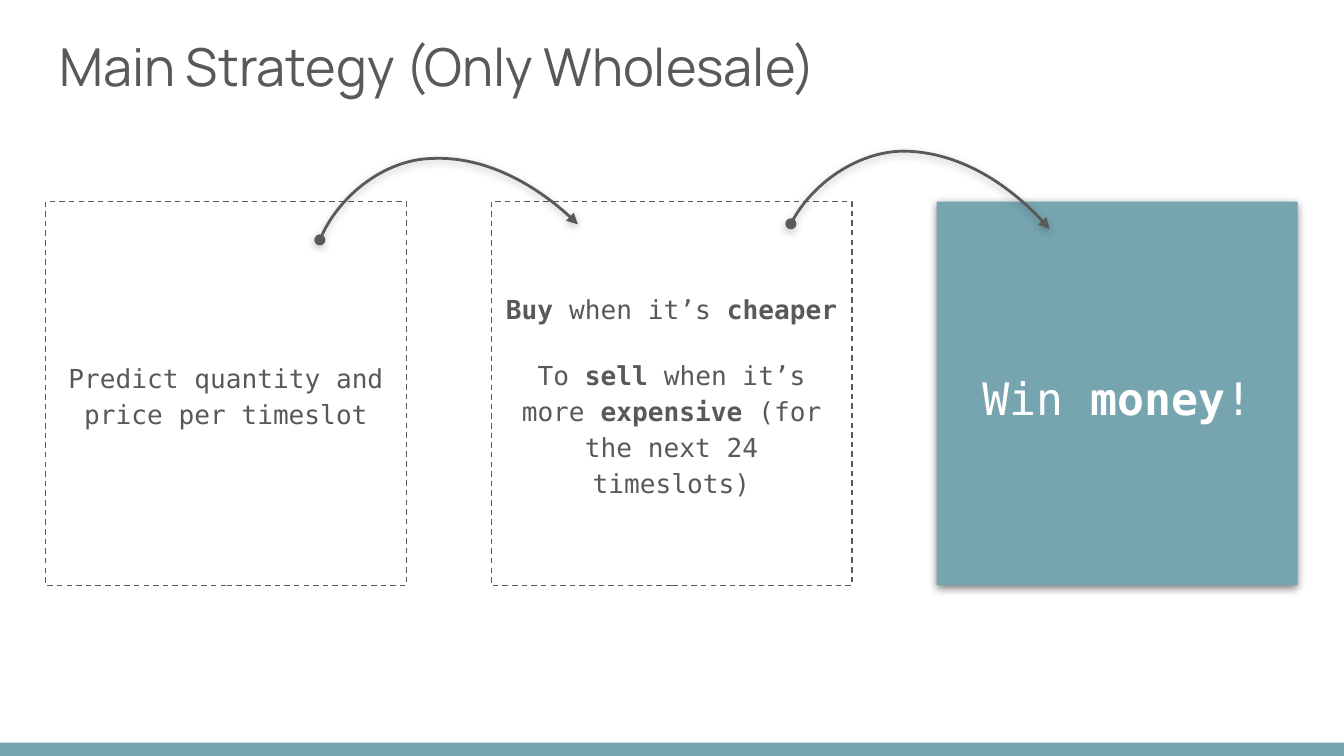
from dataclasses import dataclass

from lxml.etree import SubElement
from pptx import Presentation
from pptx.dml.color import RGBColor as Rgb
from pptx.enum.dml import MSO_LINE as Dash
from pptx.enum.shapes import MSO_SHAPE as Preset
from pptx.enum.text import MSO_ANCHOR as Anchor, PP_ALIGN as Align
from pptx.oxml.ns import qn
from pptx.util import Pt

PX = 4572  # EMU per px, 200 px to the inch


@dataclass(frozen=True)
class Theme:
    ink: str = "595959"
    accent: str = "76A5AF"
    paper: str = "FFFFFF"
    shade: str = "000000"
    title_font: str = "Manrope"
    body_font: str = "DejaVu Sans Mono"
    title_size: int = 28
    body_size: int = 14
    punch_size: int = 24


def write(frame, text, *, font, size, color, align=Align.LEFT, anchor=Anchor.TOP,
          leading=None, gap=0, end_gap=0):
    """One paragraph per line of text; words between asterisks are bold."""
    frame.word_wrap = True
    frame.vertical_anchor = anchor
    frame.margin_left = frame.margin_right = 20 * PX
    frame.margin_top = frame.margin_bottom = 20 * PX
    lines = text.split("\n")
    for i, line in enumerate(lines):
        paragraph = frame.add_paragraph() if i else frame.paragraphs[0]
        paragraph.alignment = align
        paragraph.line_spacing = leading
        paragraph.space_before = Pt(gap if i else 0)
        paragraph.space_after = Pt(end_gap if i == len(lines) - 1 else 0)
        for j, part in enumerate(line.split("*")):
            if part:
                run = paragraph.add_run()
                run.text = part
                run.font.name, run.font.size = font, Pt(size)
                run.font.color.rgb = Rgb.from_string(color)
                run.font.bold = j % 2 == 1


class Board:
    def __init__(self, slide, theme):
        self.slide, self.theme = slide, theme

    def title(self, text, *box):
        heading = self.slide.shapes.add_textbox(*(v * PX for v in box))
        write(heading.text_frame, text, font=self.theme.title_font,
              size=self.theme.title_size, color=self.theme.ink)

    def block(self, *box, fill, dashed=False):
        block = self.slide.shapes.add_shape(Preset.RECTANGLE, *(v * PX for v in box))
        block.shadow.inherit = False
        block.fill.solid()
        block.fill.fore_color.rgb = Rgb.from_string(fill)
        if dashed:
            self.outline(block, 0.75)
            block.line.dash_style = Dash.DASH
        else:
            block.line.fill.background()
        return block

    def card(self, text, *box, size, color, fill, raised=False):
        card = self.block(*box, fill=fill, dashed=not raised)
        if raised:
            self.cast_shadow(card, 50)
        write(card.text_frame, text, font=self.theme.body_font, size=size, color=color,
              align=Align.CENTER, anchor=Anchor.MIDDLE, leading=1.15,
              gap=16, end_gap=16)

    def arc(self, start, *controls):
        """Curved arrow; every three control points make one Bezier piece."""
        builder = self.slide.shapes.build_freeform(*start, scale=PX)
        builder.add_line_segments(controls, close=False)
        arc = builder.convert_to_shape()
        route = next(arc.element.iter(qn("a:path")))
        steps = route.findall(qn("a:lnTo"))
        for i in range(0, len(steps), 3):
            curve = SubElement(route, qn("a:cubicBezTo"))
            for step in steps[i:i + 3]:
                curve.append(step[0])
                route.remove(step)
        arc.fill.background()
        self.outline(arc, 1.5)
        stroke = arc.line._get_or_add_ln()
        SubElement(stroke, qn("a:headEnd"), type="oval")
        SubElement(stroke, qn("a:tailEnd"), type="triangle")
        arc.shadow.inherit = False
        self.cast_shadow(arc, 25)

    def outline(self, shape, width):
        shape.line.color.rgb = Rgb.from_string(self.theme.ink)
        shape.line.width = Pt(width)

    def cast_shadow(self, shape, opacity):
        effects = shape.element.spPr.find(qn("a:effectLst"))
        shadow = SubElement(effects, qn("a:outerShdw"), blurRad=str(Pt(4.5)),
                            dist=str(Pt(1.5)), dir=str(93 * 60000),
                            algn="bl", rotWithShape="0")
        tint = SubElement(shadow, qn("a:srgbClr"), val=self.theme.shade)
        SubElement(tint, qn("a:alpha"), val=str(opacity * 1000))


def main():
    deck = Presentation()
    deck.slide_width, deck.slide_height = 2000 * PX, 1125 * PX
    theme = Theme()
    board = Board(deck.slides.add_slide(deck.slide_layouts[6]), theme)

    board.title("Main Strategy (Only Wholesale)", 69, 31, 1864, 126)

    # Three steps at an equal pitch
    step = dict(size=theme.body_size, color=theme.ink, fill=theme.paper)
    win = dict(size=theme.punch_size, color=theme.paper, fill=theme.accent, raised=True)
    steps = [
        ("Predict quantity and price per timeslot", step),
        ("*Buy *when it’s *cheaper*\n"
         "To *sell *when it’s more *expensive *(for the next 24 timeslots)", step),
        ("Win *money*!", win),
    ]
    for i, (text, look) in enumerate(steps):
        board.card(text, 68 + 663 * i, 300, 537, 571, **look)

    # Arrows from step to step
    board.arc((476, 357), (502, 294), (572, 238), (642, 236),
              (720, 232), (804, 278), (860, 334))
    board.arc((1177, 333), (1208, 272), (1282, 223), (1350, 225),
              (1430, 228), (1510, 280), (1562, 341))

    # Footer band
    board.block(0, 1105, 2000, 20, fill=theme.accent)

    deck.save("out.pptx")


if __name__ == "__main__":
    main()
